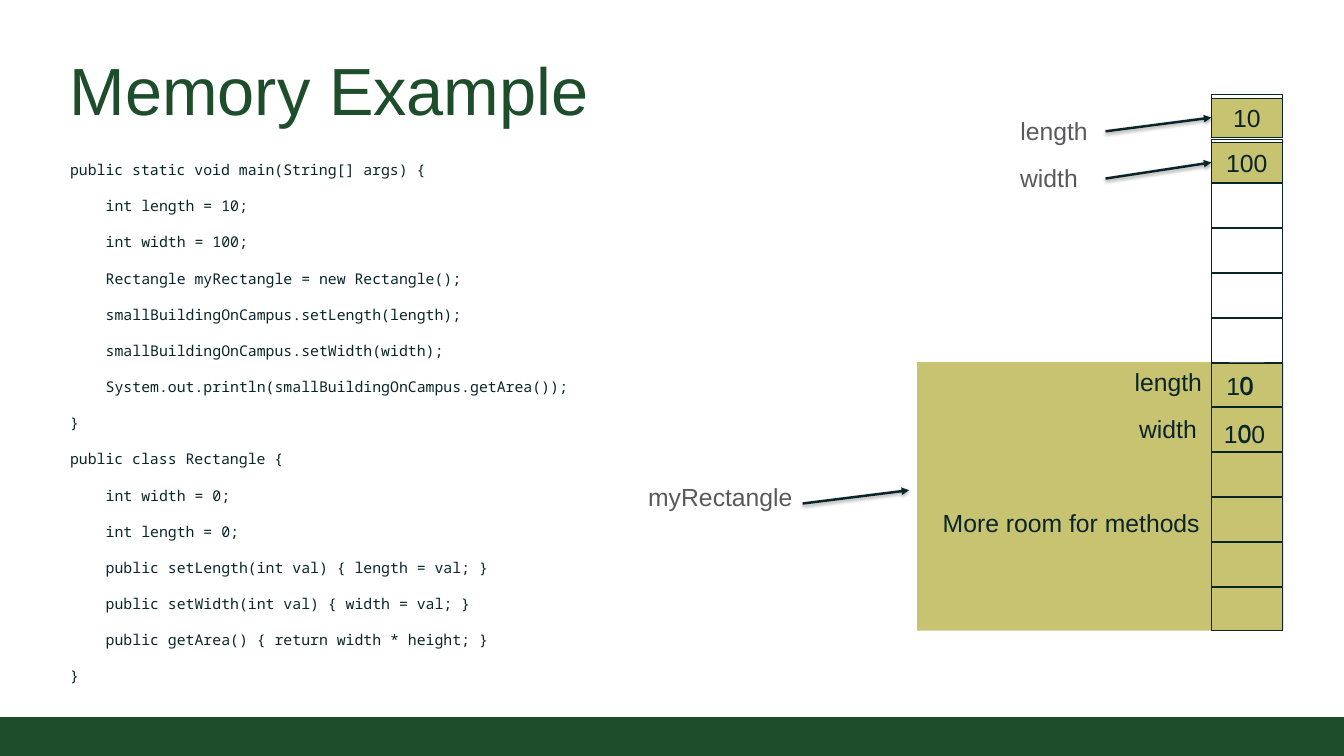
from lxml import etree
from pptx import Presentation, util as u
from pptx.dml.color import RGBColor
from pptx.enum import shapes, text
from pptx.oxml import parse_xml
from pptx.oxml.ns import nsdecls, qn

GREEN = RGBColor(0x1E, 0x4D, 0x2B)
INK = RGBColor(0x09, 0x25, 0x29)
GREY = RGBColor(0x59, 0x59, 0x5B)
KHAKI = RGBColor(0xC8, 0xC3, 0x71)

TITLE = "Memory Example"
CODE = [
    (0, "public static void main(String[] args) {"),
    (1, "int length = 10;"),
    (1, "int width = 100;"),
    (1, "Rectangle myRectangle = new Rectangle();"),
    (1, "smallBuildingOnCampus.setLength(length);"),
    (1, "smallBuildingOnCampus.setWidth(width);"),
    (1, "System.out.println(smallBuildingOnCampus.getArea());"),
    (0, "}"),
    (0, "public class Rectangle {"),
    (1, "int width = 0;"),
    (1, "int length = 0;"),
    (1, "public setLength(int val) { length = val; }"),
    (1, "public setWidth(int val) { width = val; }"),
    (1, "public getArea() { return width * height; }"),
    (0, "}"),
]
VARIABLES = [("10", 2.8), ("100", 4.08)]
LABELS = [
    ("length", 28.89, 3.18, 2.69, GREY, True),
    ("width", 28.88, 4.53, 2.69, GREY, True),
    ("myRectangle", 18.26, 13.64, 4.67, GREY, False),
    ("width", 32.28, 11.68, 2.18, INK, False),
    ("length", 32.15, 10.34, 2.46, INK, False),
    ("0", 35.14, 10.44, 0.91, INK, False),
    ("0", 35.1, 11.81, 0.91, INK, False),
    ("More room for methods", 26.67, 14.38, 7.9, INK, False),
    ("10", 34.77, 10.46, 1.3, INK, False),
    ("100", 34.7, 11.84, 1.7, INK, False),
]
VARIABLE_ARROW_STARTS = [(31.57, 3.75), (31.57, 5.1)]
OBJECT_ARROW = (22.92, 14.38, 25.96, 14.0)

SLIDE_WIDTH, SLIDE_HEIGHT = 38.38, 21.59
CELL_LEFT, CELL_TOP, CELL_WIDTH, CELL_HEIGHT = 34.59, 2.69, 2.03, 1.25
CELL_COUNT, CELL_PITCH = 12, 1.28
LABEL_HEIGHT = 1.12
SHADOW = (
    f'<a:effectLst {nsdecls("a")}><a:outerShdw blurRad="39400" dist="20300" dir="5400000">'
    '<a:srgbClr val="000000"><a:alpha val="38000"/></a:srgbClr></a:outerShdw></a:effectLst>'
)

presentation = Presentation()
presentation.slide_width, presentation.slide_height = u.Cm(SLIDE_WIDTH), u.Cm(SLIDE_HEIGHT)
slide = presentation.slides.add_slide(presentation.slide_layouts[6])


def style_runs(paragraph, size, color, font="Arial"):
    for run in paragraph.runs:
        run.font.size, run.font.name = u.Pt(size), font
        run.font.color.rgb = color


def add_box(left, top, width, height, fill=None, outlined=True):
    shape = slide.shapes.add_shape(
        shapes.MSO_SHAPE.RECTANGLE, u.Cm(left), u.Cm(top), u.Cm(width), u.Cm(height))
    shape.shadow.inherit = False
    if fill is None:
        shape.fill.background()
    else:
        shape.fill.solid()
        shape.fill.fore_color.rgb = fill
    if outlined:
        shape.line.color.rgb, shape.line.width = INK, u.Pt(0.75)
    else:
        shape.line.fill.background()
    return shape


def add_text(content, left, top, width, height, wrap=True):
    shape = slide.shapes.add_textbox(u.Cm(left), u.Cm(top), u.Cm(width), u.Cm(height))
    shape.text_frame.word_wrap = wrap
    shape.text_frame.text = content
    return shape.text_frame


def add_arrow(start_x, start_y, end_x, end_y):
    arrow = slide.shapes.add_connector(
        shapes.MSO_CONNECTOR.STRAIGHT, u.Cm(start_x), u.Cm(start_y), u.Cm(end_x), u.Cm(end_y))
    arrow.line.color.rgb, arrow.line.width = INK, u.Pt(2)
    etree.SubElement(arrow.line._get_or_add_ln(), qn("a:tailEnd"), type="triangle")
    arrow._element.spPr.append(parse_xml(SHADOW))
    return arrow


add_box(0, 20.48, SLIDE_WIDTH, 1.11, GREEN, outlined=False)

title = add_text(TITLE, 1.74, 1.12, 34.9, 2.82)
title.vertical_anchor = text.MSO_ANCHOR.BOTTOM
title.margin_top = title.margin_bottom = u.Cm(0.25)
style_runs(title.paragraphs[0], 54, GREEN)

code = add_text("\n".join(line for _, line in CODE), 1.75, 4.24, 16.51, 17.35)
code.margin_top = code.margin_bottom = u.Cm(0.25)
for paragraph, (level, _) in zip(code.paragraphs, CODE):
    paragraph.line_spacing = 1.2
    paragraph.space_before = paragraph.space_after = u.Pt(6)
    paragraph._p.get_or_add_pPr().set("marL", str(u.Cm(1.02 * level)))
    style_runs(paragraph, 12, INK, "Noto Sans Mono")

add_box(26.19, 10.34, 10.46, 7.67, KHAKI, outlined=False)
for index in range(CELL_COUNT):
    add_box(CELL_LEFT, CELL_TOP + index * CELL_PITCH, CELL_WIDTH, CELL_HEIGHT)

for (value, top), (start_x, start_y) in zip(VARIABLES, VARIABLE_ARROW_STARTS):
    variable = add_box(CELL_LEFT, top, CELL_WIDTH, LABEL_HEIGHT, KHAKI)
    variable.text_frame.text = value
    variable.text_frame.paragraphs[0].alignment = text.PP_ALIGN.CENTER
    style_runs(variable.text_frame.paragraphs[0], 20, INK)
    arrow = add_arrow(start_x, start_y, CELL_LEFT, top + LABEL_HEIGHT / 2)
    arrow.end_connect(variable, 1)

for content, left, top, width, color, wrap in LABELS:
    label = add_text(content, left, top, width, LABEL_HEIGHT, wrap)
    style_runs(label.paragraphs[0], 20, color)

add_arrow(*OBJECT_ARROW)

presentation.save("out.pptx")
